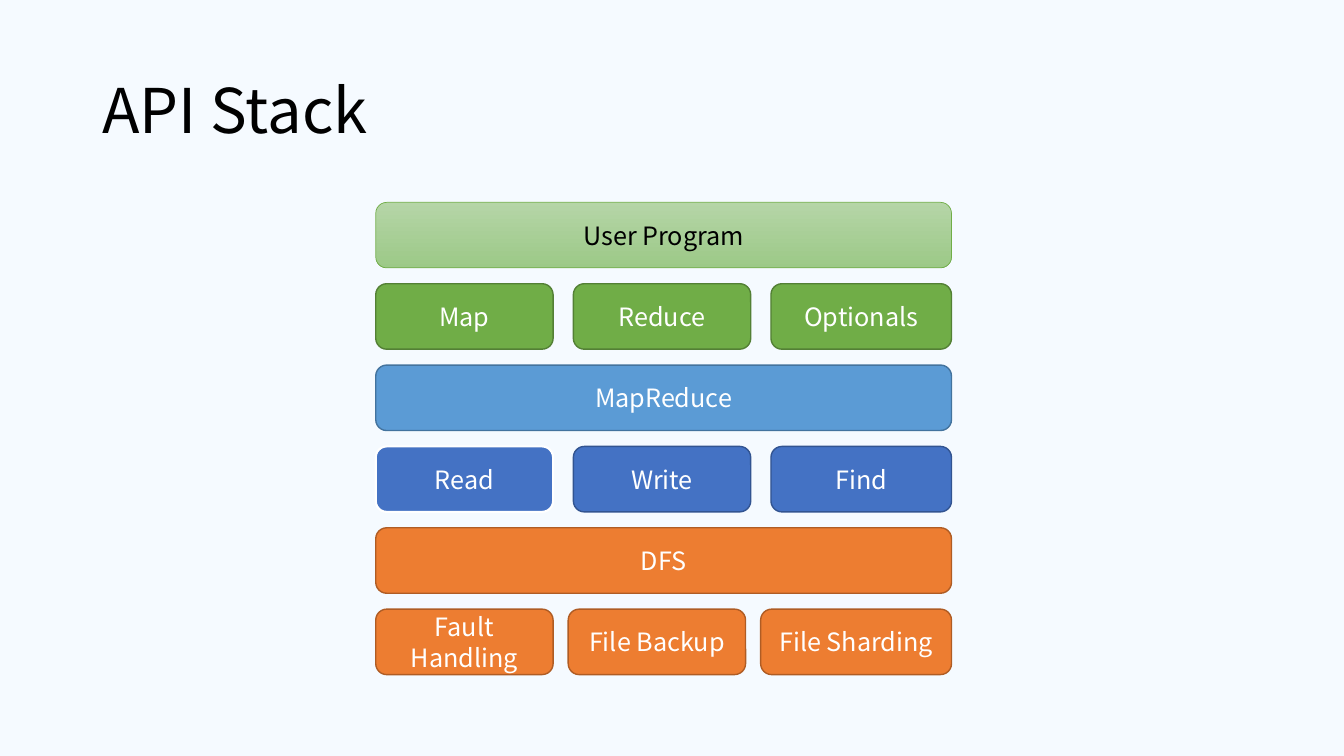
from dataclasses import dataclass

from pptx import Presentation
from pptx.dml.color import RGBColor
from pptx.enum.shapes import MSO_SHAPE as Shape
from pptx.enum.text import MSO_ANCHOR as Anchor, PP_ALIGN as Align
from pptx.util import Cm, Pt


@dataclass(frozen=True)
class Theme:
    font: str = "Noto Sans CJK SC"
    title_size: int = 44
    box_size: int = 18
    background: str = "F5FAFF"
    black: str = "000000"
    white: str = "FFFFFF"
    # Fill and outline of each layer
    program: tuple = (("B5D5A7", "9CC987"), "70AD47")
    green: tuple = ("70AD47", "538035")
    sky: tuple = ("5B9BD5", "43739E")
    blue: tuple = ("4472C4", "325491")
    orange: tuple = ("ED7D31", "AF5C24")


theme = Theme()


def write(shape, text, size, color):
    frame = shape.text_frame
    frame.text = text
    frame.word_wrap = True
    frame.vertical_anchor = Anchor.MIDDLE
    para = frame.paragraphs[0]
    span = para.runs[0]
    span.font.name = theme.font
    span.font.size = Pt(size)
    span.font.color.rgb = RGBColor.from_string(color)
    return para


# Deck and page
deck = Presentation()
deck.slide_width, deck.slide_height = Cm(33.87), Cm(19.05)
page = deck.slides.add_slide(deck.slide_layouts[6])
page.background.fill.solid()
page.background.fill.fore_color.rgb = RGBColor.from_string(theme.background)

# Title
title = page.shapes.add_textbox(Cm(2.33), Cm(1.01), Cm(29.21), Cm(3.68))
write(title, "API Stack", theme.title_size, theme.black).line_spacing = 0.9

# Layers from top to bottom: labels, colours, gap between boxes
layers = [
    (["User Program"], theme.program, 0),
    (["Map", "Reduce", "Optionals"], theme.green, 0.51),
    (["MapReduce"], theme.sky, 0),
    (["Read", "Write", "Find"], theme.blue, 0.51),
    (["DFS"], theme.orange, 0),
    (["Fault Handling", "File Backup", "File Sharding"], theme.orange, 0.38),
]
stack_left, stack_top, stack_width = 9.47, 5.1, 14.51
box_width, box_height, layer_step = 4.47, 1.65, 2.05

for row, (labels, (fill, outline), gap) in enumerate(layers):
    for column, label in enumerate(labels):
        # The last box of a layer reaches the right edge of the stack
        offset = column * (box_width + gap)
        is_last = column == len(labels) - 1
        width = stack_width - offset if is_last else box_width
        box = page.shapes.add_shape(
            Shape.ROUNDED_RECTANGLE,
            Cm(stack_left + offset), Cm(stack_top + row * layer_step),
            Cm(width), Cm(box_height))
        box.shadow.inherit = False

        # The user program has a gradient, the other layers a plain fill
        is_program = (fill, outline) == theme.program
        if is_program:
            box.fill.gradient()
            box.fill.gradient_angle = 270
            for stop, color in zip(box.fill.gradient_stops, fill):
                stop.color.rgb = RGBColor.from_string(color)
        else:
            box.fill.solid()
            box.fill.fore_color.rgb = RGBColor.from_string(fill)

        # Read stands out with a white outline
        is_read = label == "Read"
        line_color = theme.white if is_read else outline
        box.line.color.rgb = RGBColor.from_string(line_color)
        box.line.width = Pt(1.5 if is_read else 0.5 if is_program else 1)

        text_color = theme.black if is_program else theme.white
        write(box, label, theme.box_size, text_color).alignment = Align.CENTER

deck.save("out.pptx")
